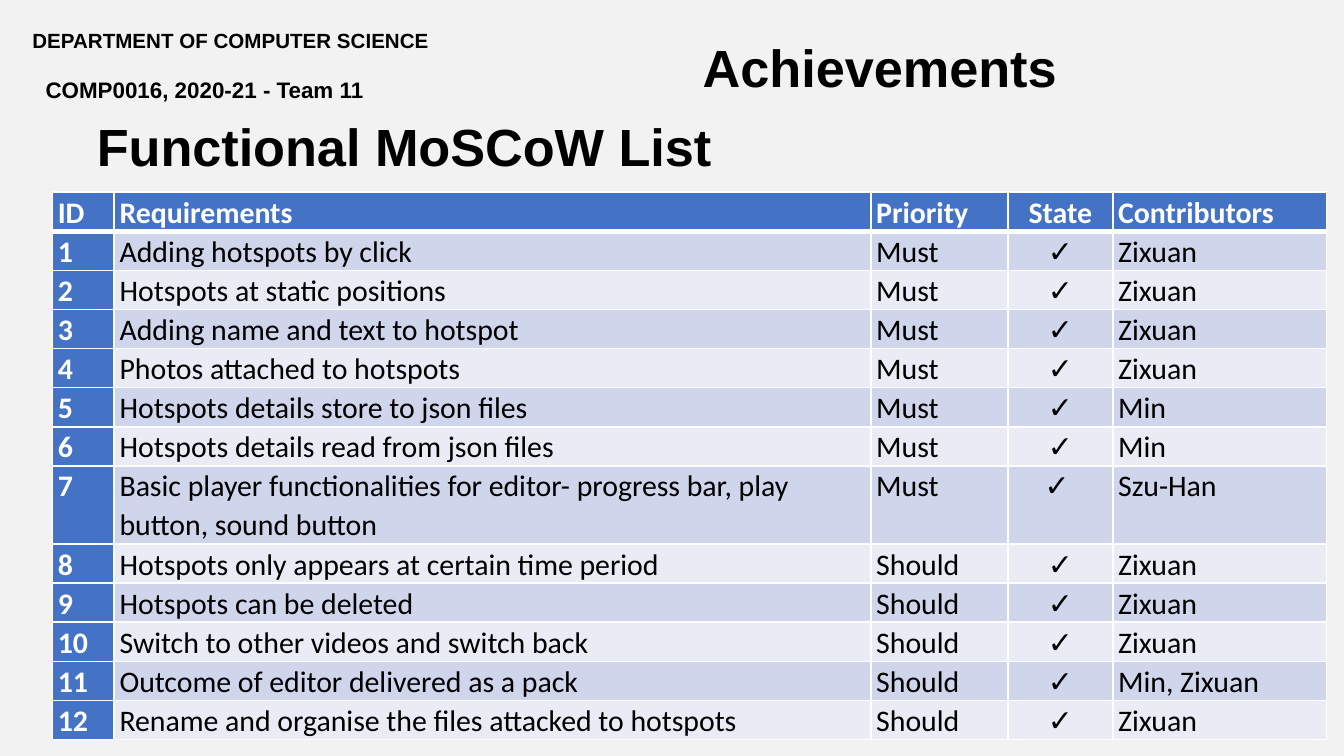
from lxml import etree
from pptx import Presentation
from pptx.dml.color import RGBColor
from pptx.enum.text import MSO_ANCHOR, MSO_AUTO_SIZE, PP_ALIGN
from pptx.oxml.ns import qn
from pptx.util import Pt

LEFT, CENTER, JUSTIFY = PP_ALIGN.LEFT, PP_ALIGN.CENTER, PP_ALIGN.JUSTIFY
TOP, MIDDLE = MSO_ANCHOR.TOP, MSO_ANCHOR.MIDDLE
NO_FIT = MSO_AUTO_SIZE.NONE

COLORS = {
    "page": "F2F2F2",
    "text": "000000",
    "header": "4472C4",
    "odd": "CFD5EA",
    "even": "E9EBF5",
    "white": "FFFFFF",
}


def write(paragraph, text, font, size, color, bold, **paragraph_format):
    """Add one formatted run and set the paragraph's format values."""
    for name, value in paragraph_format.items():
        setattr(paragraph, name, value)
    span = paragraph.add_run()
    span.text = text
    values = {"name": font, "size": Pt(size), "bold": bold}
    for name, value in values.items():
        setattr(span.font, name, value)
    span.font.color.rgb = RGBColor.from_string(COLORS[color])


def draw_border(cell, side, width):
    """Add a white border on one side (L, R, T or B) of a cell."""
    properties = cell._tc.get_or_add_tcPr()
    line = etree.SubElement(properties, qn(f"a:ln{side}"), w=str(Pt(width)))
    fill = etree.SubElement(line, qn("a:solidFill"))
    etree.SubElement(fill, qn("a:srgbClr"), val=COLORS["white"])


deck = Presentation()
deck.slide_width, deck.slide_height = Pt(720), Pt(405)
page = deck.slides.add_slide(deck.slide_layouts[1])
page.background.fill.solid()
page.background.fill.fore_color.rgb = RGBColor.from_string(COLORS["page"])

# Headings
title = page.shapes.title
department = page.placeholders[1]
team = page.shapes.add_textbox(0, 0, 0, 0)
section = page.shapes.add_textbox(0, 0, 0, 0)
headings = [
    # box, text, left, top, width, height, size, anchor, line spacing
    (title, "Functional MoSCoW List", 44.64, 62.64, 620.64, 35.28, 28, MIDDLE, 0.9),
    (department, "DEPARTMENT OF COMPUTER SCIENCE", 17.28, 17.28, 280, 18.72, 11, TOP, 0.8),
    (team, "COMP0016, 2020-21 - Team 11", 17.28, 39.6, 236.16, 18.72, 12, MIDDLE, 0.9),
    (section, "Achievements", 369.36, 20.16, 214.56, 35.28, 28, MIDDLE, 0.9),
]
for box, text, left, top, width, height, size, anchor, spacing in headings:
    place = {"left": left, "top": top, "width": width, "height": height}
    for name, value in place.items():
        setattr(box, name, Pt(value))
    frame = box.text_frame
    frame.word_wrap, frame.auto_size, frame.vertical_anchor = True, NO_FIT, anchor
    write(frame.paragraphs[0], text, "Arial", size, "text", True,
          alignment=LEFT, line_spacing=spacing)

for side in ("left", "top", "right", "bottom"):
    setattr(department.text_frame, f"margin_{side}", 0)
paragraph = department.text_frame.paragraphs[0]
paragraph.space_before = Pt(7.5)
bullet_format = paragraph._p.get_or_add_pPr()
bullet_format.set("marL", "0")
bullet_format.set("indent", "0")
etree.SubElement(bullet_format, qn("a:buNone"))

# Requirements table
header = ("ID", "Requirements", "Priority", "State", "Contributors")
requirements = [
    ("Adding hotspots by click", "Must", "✓", "Zixuan"),
    ("Hotspots at static positions", "Must", "✓", "Zixuan"),
    ("Adding name and text to hotspot", "Must", "✓", "Zixuan"),
    ("Photos attached to hotspots", "Must", "✓", "Zixuan"),
    ("Hotspots details store to json files", "Must", "✓", "Min"),
    ("Hotspots details read from json files", "Must", "✓", "Min"),
    ("Basic player functionalities for editor- progress bar, play button, sound button",
     "Must", "✓ ", "Szu-Han"),
    ("Hotspots only appears at certain time period", "Should", "✓", "Zixuan"),
    ("Hotspots can be deleted", "Should", "✓", "Zixuan"),
    ("Switch to other videos and switch back", "Should", "✓", "Zixuan"),
    ("Outcome of editor delivered as a pack", "Should", "✓", "Min, Zixuan"),
    ("Rename and organise the files attacked to hotspots", "Should", "✓", "Zixuan"),
]
rows = [header] + [(str(number), *row) for number, row in enumerate(requirements, 1)]
column_widths = [33.12, 405.36, 73.44, 56.16, 114.48]
line_height = 20.9
wrapped_row = 7

table = page.shapes.add_table(
    len(rows), len(header), Pt(28.08), Pt(102.96),
    Pt(sum(column_widths)), Pt(line_height * (len(rows) + 1))).table
table.first_col = True
for column, width in zip(table.columns, column_widths):
    column.width = Pt(width)

for row_index, row in enumerate(rows):
    lines = 2 if row_index == wrapped_row else 1
    table.rows[row_index].height = Pt(line_height * lines)
    for column_index, text in enumerate(row):
        cell = table.cell(row_index, column_index)
        cell.margin_left = cell.margin_right = Pt(2.88)
        cell.margin_top = cell.margin_bottom = 0
        for side in "LRTB":
            header_rule = (row_index, side) in ((0, "B"), (1, "T"))
            draw_border(cell, side, 3 if header_rule else 1)

        is_heading = row_index == 0 or column_index == 0
        band = "odd" if row_index % 2 else "even"
        cell.fill.solid()
        cell.fill.fore_color.rgb = RGBColor.from_string(
            COLORS["header" if is_heading else band])

        alignment = LEFT
        if header[column_index] == "State":
            alignment = CENTER
        elif text == "Contributors":
            alignment = JUSTIFY
        write(cell.text_frame.paragraphs[0], text, "Calibri", 16,
              "white" if is_heading else "text", is_heading,
              alignment=alignment, line_spacing=1.07, space_after=Pt(8))

deck.save("out.pptx")
